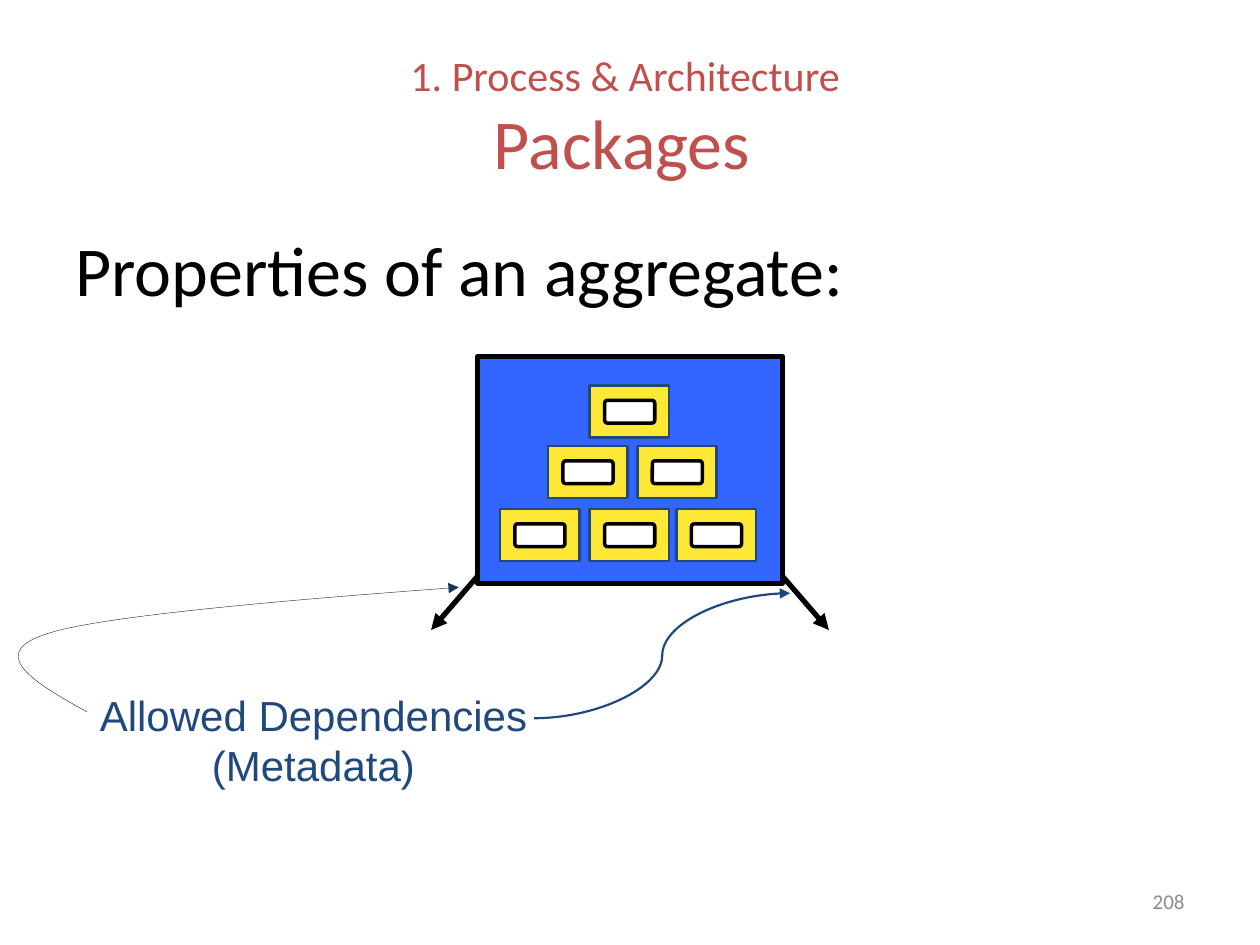
"""Build the slide on packages and the allowed dependencies of an aggregate."""
from lxml.etree import SubElement
from pptx import Presentation
from pptx.dml.color import RGBColor
from pptx.enum.shapes import MSO_CONNECTOR as CONN, MSO_SHAPE as SHAPE
from pptx.enum.text import MSO_ANCHOR as ANCHOR, PP_ALIGN as ALIGN
from pptx.oxml.ns import qn
from pptx.util import Cm, Pt

BLACK = RGBColor(0x00, 0x00, 0x00)
WHITE = RGBColor(0xFF, 0xFF, 0xFF)
RED = RGBColor(0xC0, 0x50, 0x4D)
BLUE = RGBColor(0x33, 0x66, 0xFF)
YELLOW = RGBColor(0xFF, 0xE7, 0x35)
NAVY = RGBColor(0x1F, 0x49, 0x7D)
DARK_NAVY = RGBColor(0x17, 0x37, 0x5E)
GREY = RGBColor(0x8C, 0x8C, 0x8C)


def add_box(shapes, kind, x, y, w, h, fill, line, width):
    sp = shapes.add_shape(kind, Cm(x), Cm(y), Cm(w), Cm(h))
    sp.shadow.inherit = False
    sp.fill.solid()
    sp.fill.fore_color.rgb = fill
    sp.line.color.rgb = line
    sp.line.width = Pt(width)
    return sp


def style_arrow(sp, color, width):
    sp.line.color.rgb = color
    sp.line.width = Pt(width)
    SubElement(sp.line._get_or_add_ln(), qn("a:tailEnd"), type="triangle")
    if sp._element.spPr.find(qn("a:effectLst")) is None:
        SubElement(sp._element.spPr, qn("a:effectLst"))


prs = Presentation()
prs.slide_width, prs.slide_height = Cm(25.4), Cm(19.05)
s = prs.slides.add_slide(prs.slide_layouts[6])

for x1, x2 in ((9.96, 8.69), (15.44, 16.71)):
    sp = s.shapes.add_connector(CONN.STRAIGHT, Cm(x1), Cm(11.23), Cm(x2), Cm(12.7))
    style_arrow(sp, BLACK, 3)

add_box(s.shapes, SHAPE.RECTANGLE, 9.63, 7.19, 6.15, 4.57, BLUE, BLACK, 3)

texts = [
    ((1.27, 0.76, 22.86, 3.18), [[("1. Process & Architecture \v", 24), ("Packages ", 40)]],
     {"vertical_anchor": ANCHOR.MIDDLE, "word_wrap": True}, ALIGN.CENTER, "Calibri", RED),
    ((1.27, 4.45, 22.86, 12.57), [[("Properties of an aggregate:", 40)]],
     {"word_wrap": True}, ALIGN.LEFT, "Calibri", BLACK),
    ((1.75, 13.77, 9.14, 2.29), [[("Allowed Dependencies", 24)], [("(Metadata)", 24)]],
     {"word_wrap": False}, ALIGN.CENTER, "Arial", NAVY),
    ((18.21, 17.65, 5.92, 1.02), [[("208", 12)]],
     {"vertical_anchor": ANCHOR.MIDDLE, "word_wrap": True}, ALIGN.RIGHT, "Calibri", GREY),
]
for place, paragraphs, frame, align, font, color in texts:
    tf = s.shapes.add_textbox(*map(Cm, place)).text_frame
    for name, value in frame.items():
        setattr(tf, name, value)
    for i, runs in enumerate(paragraphs):
        p = tf.add_paragraph() if i else tf.paragraphs[0]
        p.alignment = align
        for text, size in runs:
            r = p.add_run()
            r.text = text.rstrip("\v")
            for name, value in {"size": Pt(size), "name": font}.items():
                setattr(r.font, name, value)
            r.font.color.rgb = color
            if text.endswith("\v"):
                p.add_line_break()

sp = s.shapes.add_connector(CONN.CURVE, Cm(10.77), Cm(14.48), Cm(15.93), Cm(11.96))
style_arrow(sp, NAVY, 1.25)

rows = {7.77: (11.89,), 8.99: (11.05, 12.85), 10.26: (10.08, 11.89, 13.64)}
for y, lefts in rows.items():
    for x in lefts:
        group = s.shapes.add_group_shape()
        add_box(group.shapes, SHAPE.RECTANGLE, x, y, 1.6, 1.05, YELLOW, NAVY, 1.5)
        sp = add_box(group.shapes, SHAPE.ROUNDED_RECTANGLE, x + 0.3, y + 0.3, 1.01, 0.46,
                     WHITE, BLACK, 2)
        sp.adjustments[0] = 0.125

curves = [
    ((1.75, 14.35), (0.71, 13.77), (-0.3, 13.18), (0.94, 12.78)),
    ((0.94, 12.78), (2.18, 12.34), (7.98, 11.94), (9.25, 11.84)),
]
steps = 24
points = []
for curve in curves:
    for i in range(1, steps + 1):
        t = i / steps
        weights = ((1 - t) ** 3, 3 * t * (1 - t) ** 2, 3 * t ** 2 * (1 - t), t ** 3)
        points.append(tuple(Cm(sum(w * c for w, c in zip(weights, axis)))
                            for axis in zip(*curve)))
builder = s.shapes.build_freeform(*map(Cm, curves[0][0]))
builder.add_line_segments(points, close=False)
sp = builder.convert_to_shape()
sp.shadow.inherit = False
sp.fill.background()
style_arrow(sp, DARK_NAVY, 0.25)

prs.save("out.pptx")
